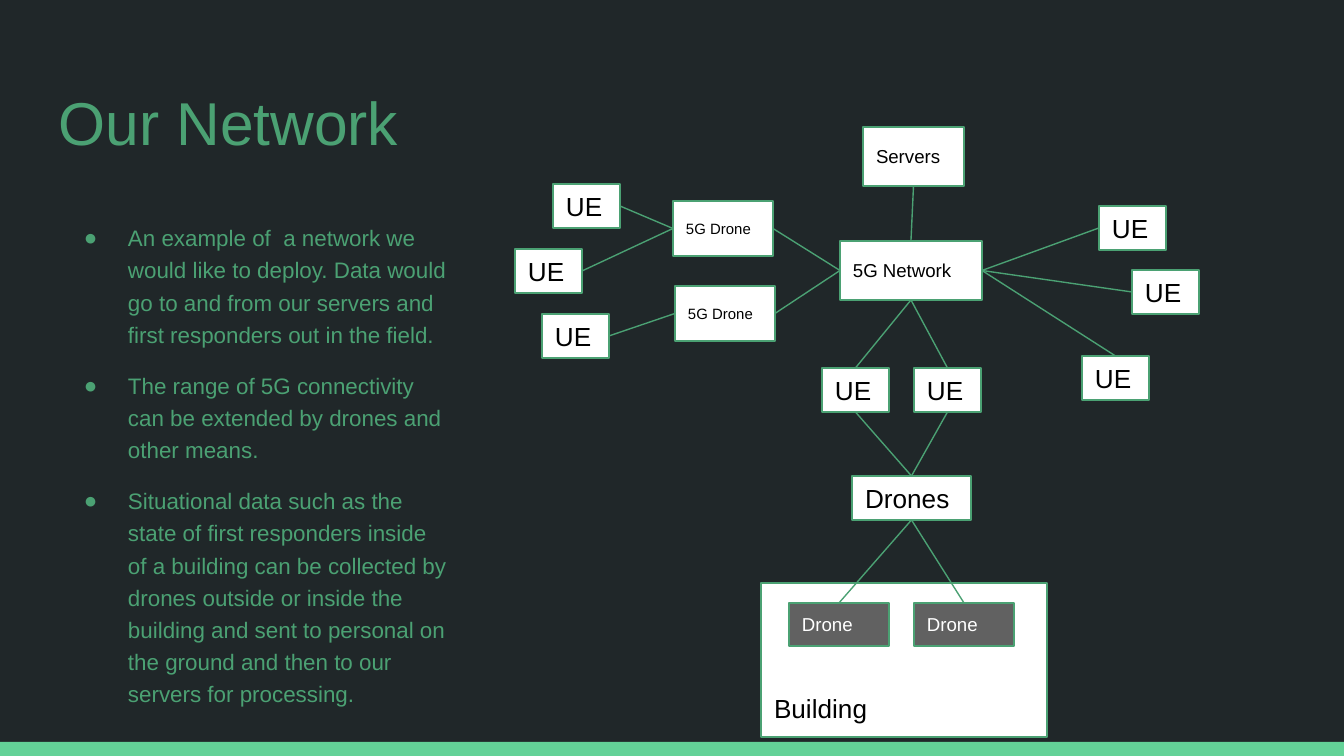
from dataclasses import dataclass
from typing import Any, NamedTuple

from lxml import etree
from pptx import Presentation
from pptx import util as u
from pptx.dml.color import RGBColor
from pptx.enum import shapes, text
from pptx.oxml import ns

SCALE = 9144000 / 1344  # EMU in one px
WIDTH, HEIGHT = 1344, 756
TOP, LEFT, BOTTOM, RIGHT = range(4)


@dataclass(frozen=True)
class Theme:
    font: str = "Arial"
    background: str = "202729"
    bar: str = "63D297"
    accent: str = "4BA173"
    light: str = "FFFFFF"
    dark: str = "000000"
    grey: str = "616161"
    title: float = 32.4
    body: float = 12
    large: float = 14
    medium: float = 10
    small: float = 8
    line: float = 0.75
    inset: int = 13


THEME = Theme()


class Node(NamedTuple):
    label: str
    left: int
    top: int
    width: int = 67
    height: int = 44
    size: float = THEME.large
    fill: str = THEME.light
    color: str = THEME.dark
    anchor: Any = text.MSO_ANCHOR.MIDDLE


class Link(NamedTuple):
    start: str
    start_side: int
    end: str
    end_side: int


NODES = {
    "servers": Node("Servers", 863, 127, 101, 59, THEME.medium),
    "network": Node("5G Network", 840, 241, 142, 59, THEME.medium),
    "building": Node("Building", 761, 583, 286, 154, anchor=text.MSO_ANCHOR.BOTTOM),
    "drones": Node("Drones", 852, 476, 119),
    "relay 1": Node("5G Drone", 673, 201, 100, 55, THEME.small),
    "relay 2": Node("5G Drone", 675, 286, 100, 55, THEME.small),
}
USER_EQUIPMENT = {
    "west 1": (553, 184), "west 2": (515, 249), "west 3": (542, 314),
    "east 1": (1099, 206), "east 2": (1132, 270), "east 3": (1082, 356),
    "south 1": (822, 368), "south 2": (914, 368),
}
NODES |= {name: Node("UE", *place) for name, place in USER_EQUIPMENT.items()}
NODES |= {
    f"indoor {number}": Node("Drone", left, 603, 100, 43, THEME.medium, THEME.grey, THEME.light)
    for number, left in ((1, 789), (2, 914))
}

LINKS = [
    Link("servers", BOTTOM, "network", TOP),
    Link("west 1", RIGHT, "relay 1", LEFT),
    Link("west 2", RIGHT, "relay 1", LEFT),
    Link("west 3", RIGHT, "relay 2", LEFT),
    Link("network", RIGHT, "east 1", LEFT),
    Link("network", RIGHT, "east 2", LEFT),
    Link("network", RIGHT, "east 3", TOP),
]
for number in (1, 2):
    LINKS += [
        Link(f"relay {number}", RIGHT, "network", LEFT),
        Link("network", BOTTOM, f"south {number}", TOP),
        Link(f"south {number}", BOTTOM, "drones", TOP),
        Link("drones", BOTTOM, f"indoor {number}", TOP),
    ]

BULLETS = [
    "An example of  a network we would like to deploy. Data would go to and from "
    "our servers and first responders out in the field.",
    "The range of 5G connectivity can be extended by drones and other means.",
    "Situational data such as the state of first responders inside of a building can be "
    "collected by drones outside or inside the building and sent to personal on the ground "
    "and then to our servers for processing.",
]


def px(length: float) -> u.Emu:
    return u.Emu(round(length * SCALE))


def rgb(color: str) -> RGBColor:
    return RGBColor.from_string(color)


def apply(target: Any, values: dict[str, Any]) -> None:
    for name, value in values.items():
        setattr(target, name, value)


def place(shape: Any, left: int, top: int, width: int, height: int) -> None:
    apply(shape, {"left": px(left), "top": px(top), "width": px(width), "height": px(height)})


def format_frame(frame: Any, anchor: Any) -> None:
    margins = {f"margin_{side}": px(THEME.inset) for side in ("left", "top", "right", "bottom")}
    apply(frame, margins | {
        "word_wrap": True, "auto_size": text.MSO_AUTO_SIZE.NONE, "vertical_anchor": anchor,
    })


def write(para: Any, words: str, size: float, color: str) -> None:
    """Put one left-aligned span of text in a paragraph."""
    para.alignment = text.PP_ALIGN.LEFT
    span = para.add_run()
    span.text = words
    apply(span.font, {"name": THEME.font, "size": u.Pt(size)})
    span.font.color.rgb = rgb(color)


def add_bullet(para: Any) -> None:
    properties = para._p.get_or_add_pPr()
    properties.set("marL", str(px(67)))
    properties.set("indent", str(-px(44)))
    color = etree.SubElement(properties, ns.qn("a:buClr"))
    etree.SubElement(color, ns.qn("a:srgbClr"), val=THEME.accent)
    etree.SubElement(properties, ns.qn("a:buChar"), char="●")


def add_rectangle(page: Any, left: int, top: int, width: int, height: int, fill: str) -> Any:
    box = page.shapes.add_shape(
        shapes.MSO_SHAPE.RECTANGLE, px(left), px(top), px(width), px(height))
    box.shadow.inherit = False
    box.fill.solid()
    box.fill.fore_color.rgb = rgb(fill)
    box.line.fill.background()
    return box


def outline(shape: Any) -> None:
    shape.line.color.rgb = rgb(THEME.accent)
    shape.line.width = u.Pt(THEME.line)


def add_node(page: Any, node: Node) -> Any:
    box = add_rectangle(page, node.left, node.top, node.width, node.height, node.fill)
    outline(box)
    format_frame(box.text_frame, node.anchor)
    write(box.text_frame.paragraphs[0], node.label, node.size, node.color)
    return box


def add_link(page: Any, link: Link, boxes: dict[str, Any]) -> None:
    line = page.shapes.add_connector(shapes.MSO_CONNECTOR.STRAIGHT, 0, 0, 0, 0)
    line.begin_connect(boxes[link.start], link.start_side)
    line.end_connect(boxes[link.end], link.end_side)
    outline(line)
    etree.SubElement(line._element.spPr, ns.qn("a:effectLst"))


def main() -> None:
    deck = Presentation()
    apply(deck, {"slide_width": px(WIDTH), "slide_height": px(HEIGHT)})
    page = deck.slides.add_slide(deck.slide_layouts[1])
    page.background.fill.solid()
    page.background.fill.fore_color.rgb = rgb(THEME.background)
    add_rectangle(page, 0, 742, WIDTH, HEIGHT - 742, THEME.bar)

    title, body = page.placeholders
    place(title, 46, 72, 1253, 85)
    place(body, 48, 206, 415, 466)
    for holder in (title, body):
        format_frame(holder.text_frame, text.MSO_ANCHOR.TOP)
    write(title.text_frame.paragraphs[0], "Our Network", THEME.title, THEME.accent)
    for index, words in enumerate(BULLETS):
        para = body.text_frame.add_paragraph() if index else body.text_frame.paragraphs[0]
        add_bullet(para)
        apply(para, {"line_spacing": 1.2, "space_before": u.Pt(10 if index else 0)})
        write(para, words, THEME.body, THEME.accent)

    boxes = {name: add_node(page, node) for name, node in NODES.items()}
    for link in LINKS:
        add_link(page, link, boxes)
    deck.save("out.pptx")


if __name__ == "__main__":
    main()
